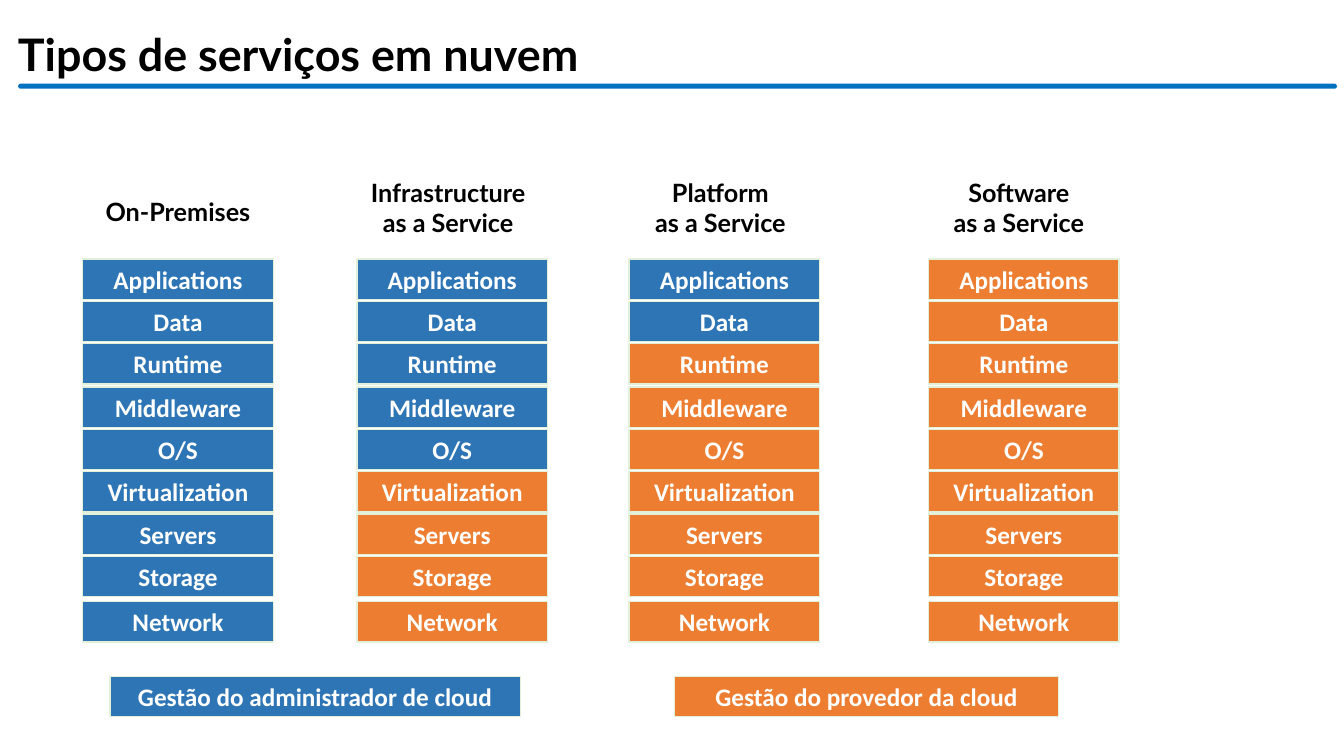
from pptx import Presentation
from pptx.dml.color import RGBColor
from pptx.enum.shapes import MSO_SHAPE as SHAPE
from pptx.enum.text import MSO_ANCHOR as ANCHOR, MSO_AUTO_SIZE as AUTO, PP_ALIGN as ALIGN
from pptx.util import Inches, Pt

ADMIN_BLUE = RGBColor(0x2E, 0x75, 0xB6)
PROVIDER_ORANGE = RGBColor(0xED, 0x7D, 0x31)
RULE_BLUE = RGBColor(0x00, 0x70, 0xC0)
EDGE_GREEN = RGBColor(0xE2, 0xF0, 0xD9)
BLACK = RGBColor(0, 0, 0)
WHITE = RGBColor(0xFF, 0xFF, 0xFF)

BAR_HEIGHT = 0.4
STACK_TOP, STACK_WIDTH = 2.57, 1.89
# Each layer with its distance from the top of the stack
LAYERS = [
    ("Applications", 0), ("Data", 0.42), ("Runtime", 0.84),
    ("Middleware", 1.27), ("O/S", 1.69), ("Virtualization", 2.11),
    ("Servers", 2.53), ("Storage", 2.95), ("Network", 3.4),
]
# Heading, heading box (left, top, width, height), stack left, layers run by the admin
MODELS = [
    ("On-Premises", (0.66, 1.9, 2.21, 0.4), 0.82, 9),
    ("Infrastructure\nas a Service", (3.26, 1.71, 2.37, 0.71), 3.54, 5),
    ("Platform\nas a Service", (6.04, 1.71, 2.21, 0.71), 6.24, 2),
    ("Software\nas a Service", (9, 1.71, 2.21, 0.71), 9.21, 0),
]


def set_text(sp, text, font, size, color, align):
    tf = sp.text_frame
    tf.text = text
    tf.word_wrap = True
    tf.auto_size = AUTO.SHAPE_TO_FIT_TEXT
    for p in tf.paragraphs:
        p.alignment = align
        for r in p.runs:
            r.font.name = font
            r.font.size = Pt(size)
            r.font.bold = True
            r.font.color.rgb = color


def add_label(s, box, text, size=18, align=ALIGN.CENTER):
    sp = s.shapes.add_textbox(*map(Inches, box))
    set_text(sp, text, "Lato", size, BLACK, align)


def add_bar(s, left, top, width, text, fill):
    sp = s.shapes.add_shape(SHAPE.RECTANGLE, *map(Inches, (left, top, width, BAR_HEIGHT)))
    sp.shadow.inherit = False
    sp.fill.solid()
    sp.fill.fore_color.rgb = fill
    sp.line.color.rgb = EDGE_GREEN
    sp.line.width = Pt(1)
    set_text(sp, text, "Calibri", 18, WHITE, ALIGN.CENTER)
    sp.text_frame.vertical_anchor = ANCHOR.MIDDLE


def add_title(s, left, top, width, height):
    """Place the title and the rounded rule beneath it."""
    rule_box = (left + 0.1, top + 0.61, 13.08, 0.05)
    rule = s.shapes.add_shape(SHAPE.ROUNDED_RECTANGLE, *map(Inches, rule_box))
    rule.adjustments[0] = 0.5
    rule.shadow.inherit = False
    rule.fill.solid()
    rule.fill.fore_color.rgb = RULE_BLUE
    rule.line.fill.background()
    add_label(s, (left, top, width, height), "Tipos de serviços em nuvem", 32, ALIGN.LEFT)


def add_stack(s, left, top, width, admin_layers):
    """Stack the layers, those run by the admin first and the provider's below."""
    for i, (layer, offset) in enumerate(LAYERS):
        fill = ADMIN_BLUE if i < admin_layers else PROVIDER_ORANGE
        add_bar(s, left, top + offset, width, layer, fill)


def add_legend(s, left, top):
    add_bar(s, left, top, 4.07, "Gestão do administrador de cloud", ADMIN_BLUE)
    add_bar(s, left + 5.6, top, 3.81, "Gestão do provedor da cloud", PROVIDER_ORANGE)


def main():
    prs = Presentation()
    prs.slide_width, prs.slide_height = Inches(13.33), Inches(7.5)
    s = prs.slides.add_slide(prs.slide_layouts[6])
    add_title(s, 0.08, 0.22, 11.62, 1.04)
    for heading, heading_box, left, admin_layers in MODELS:
        add_label(s, heading_box, heading)
        add_stack(s, left, STACK_TOP, STACK_WIDTH, admin_layers)
    add_legend(s, 1.09, 6.71)
    prs.save("out.pptx")


if __name__ == "__main__":
    main()
